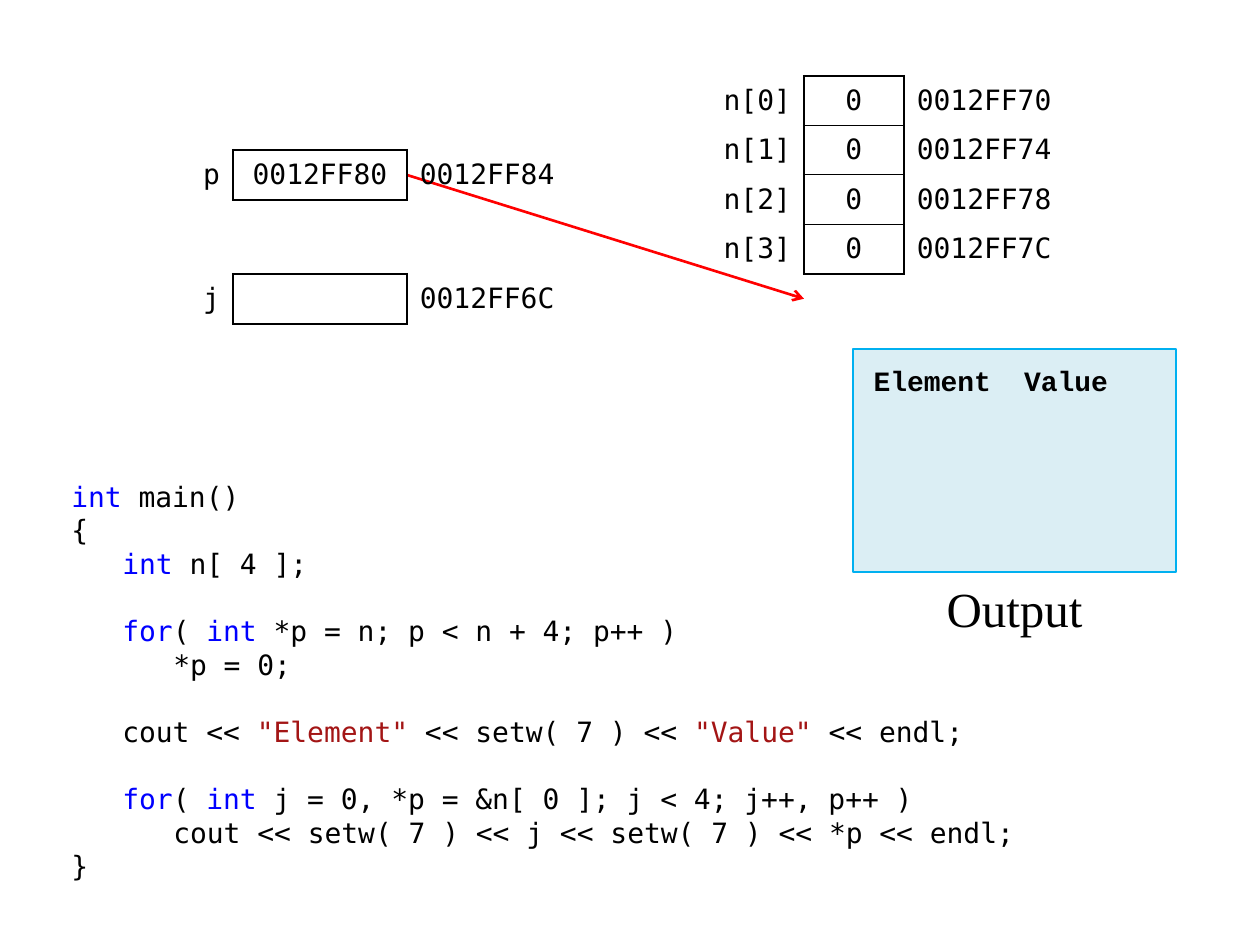
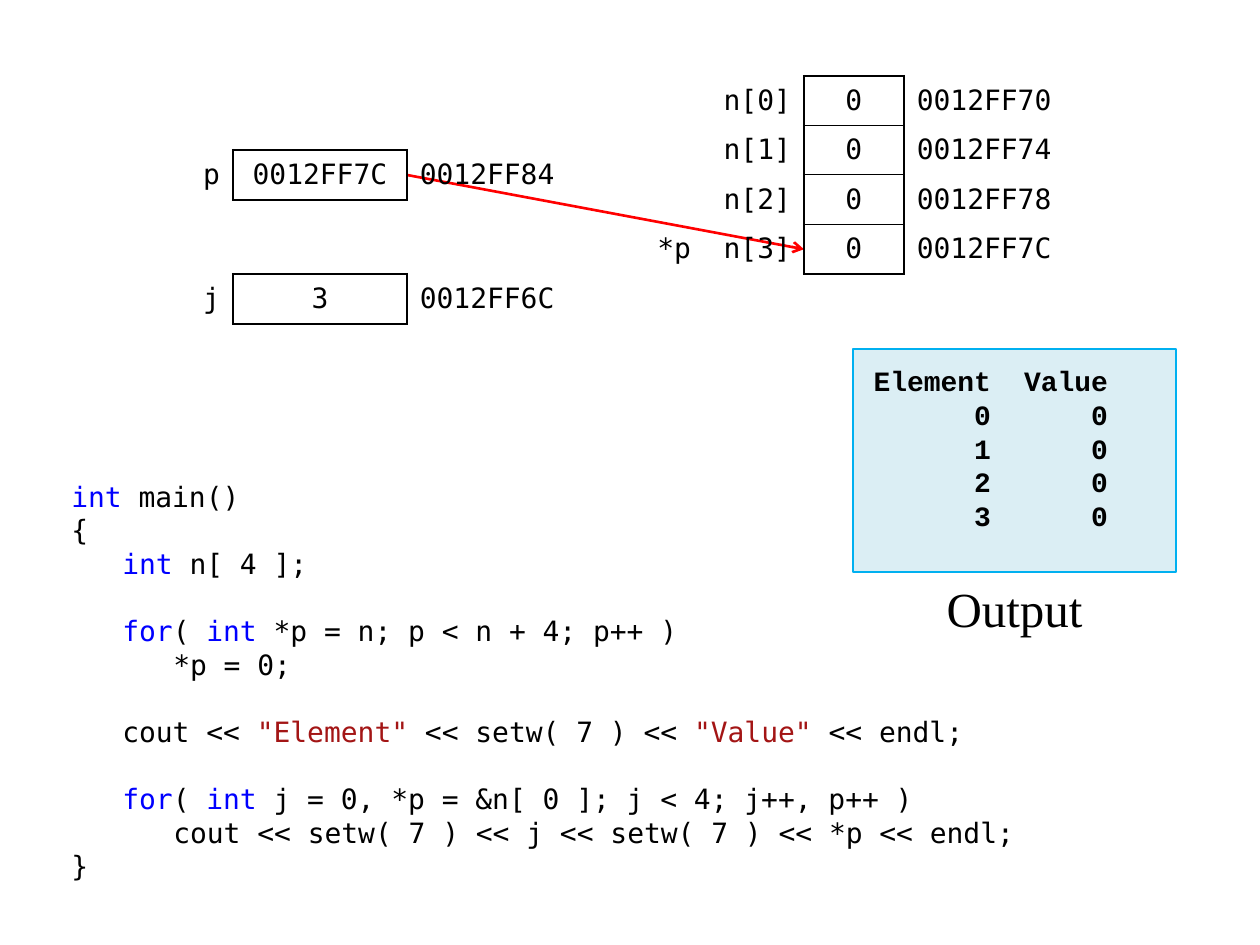
from lxml import etree
from pptx import Presentation
from pptx.dml.color import RGBColor
from pptx.enum.shapes import MSO_CONNECTOR, MSO_SHAPE
from pptx.enum.text import MSO_ANCHOR, PP_ALIGN
from pptx.oxml.ns import qn
from pptx.util import Emu, Inches, Pt

LEFT, CENTER, RIGHT = PP_ALIGN.LEFT, PP_ALIGN.CENTER, PP_ALIGN.RIGHT
TOP, MIDDLE = MSO_ANCHOR.TOP, MSO_ANCHOR.MIDDLE
RECTANGLE = MSO_SHAPE.RECTANGLE
STRAIGHT = MSO_CONNECTOR.STRAIGHT

BLACK = RGBColor(0x00, 0x00, 0x00)
KEYWORD = RGBColor(0x00, 0x00, 0xFF)
LITERAL = RGBColor(0xA3, 0x15, 0x15)
POINTER = RGBColor(0xFF, 0x00, 0x00)
CONSOLE_FILL = RGBColor(0xDB, 0xEE, 0xF4)
CONSOLE_EDGE = RGBColor(0x00, 0xB0, 0xF0)

CODE_FONT = "DejaVu Sans Mono"
CONSOLE_FONT = "Courier New"
LABEL_FONT = "Times New Roman"
CODE_SIZE = 16
LINE_PITCH = Pt(19.2)
INDENT = 51
CONSOLE_STOPS = (118, 235)
THICK, THIN = 1.5, 0.75
PLAIN_TABLE = "{2D5ABB26-0587-4C30-8999-92F81FD0307C}"

INT = ("int", KEYWORD)
FOR = ("for", KEYWORD)
CODE = [
    (0, False, [INT, (" main()", BLACK)]),
    (0, False, [("{", BLACK)]),
    (1, False, [INT, (" n[ 4 ];", BLACK)]),
    (1, True, [FOR, ("( ", BLACK), INT, (" *p = n; p < n + 4; p++ )", BLACK)]),
    (2, False, [("*p = 0;", BLACK)]),
    (1, True, [("cout << ", BLACK), ('"Element"', LITERAL),
               (" << setw( 7 ) << ", BLACK), ('"Value"', LITERAL),
               (" << endl;", BLACK)]),
    (1, True, [FOR, ("( ", BLACK), INT,
               (" j = 0, *p = &n[ 0 ]; j < 4; j++, p++ )", BLACK)]),
    (2, False, [("cout << setw( 7 ) << j << setw( 7 ) << *p << endl;", BLACK)]),
    (0, False, [("}", BLACK)]),
]

ADDRESSES = ["0012FF70", "0012FF74", "0012FF78", "0012FF7C"]
ARRAY_LEFT, ARRAY_TOP, ARRAY_HEIGHT = 630, 76, 198
ARRAY_COLUMNS = (74, 100, 100, 174)
VARIABLE_LEFT, VARIABLE_COLUMNS, VARIABLE_HEIGHT = 184, (49, 174, 174), 50
P_TOP, J_TOP = 150, 274


def px(length):
    return Emu(round(length * Inches(1) / 126))


def set_font(paragraph, name, size, bold=False):
    paragraph.font.name = name
    paragraph.font.size = Pt(size)
    paragraph.font.bold = bold
    paragraph.font.color.rgb = BLACK


def add_text_box(slide, left, top, width, height):
    frame = slide.shapes.add_textbox(
        px(left), px(top), px(width), px(height)).text_frame
    frame.word_wrap = True
    return frame


def nth_paragraph(frame, index):
    return frame.add_paragraph() if index else frame.paragraphs[0]


def add_console(slide, rows):
    console = slide.shapes.add_shape(
        RECTANGLE, px(853), px(349), px(323), px(223))
    console.shadow.inherit = False
    console.fill.solid()
    console.fill.fore_color.rgb = CONSOLE_FILL
    console.line.color.rgb = CONSOLE_EDGE
    console.line.width = Pt(THICK)
    frame = console.text_frame
    frame.vertical_anchor = TOP
    frame.margin_left, frame.margin_top = px(20), px(15)
    for index, row in enumerate([("Element", "Value")] + rows):
        paragraph = nth_paragraph(frame, index)
        paragraph.alignment = LEFT
        paragraph.line_spacing = LINE_PITCH
        stops = etree.SubElement(paragraph._p.get_or_add_pPr(), qn("a:tabLst"))
        for stop in CONSOLE_STOPS:
            etree.SubElement(stops, qn("a:tab"), pos=str(px(stop)), algn="r")
        set_font(paragraph, CONSOLE_FONT, CODE_SIZE, True)
        paragraph.add_run().text = "".join("\t" + entry for entry in row)


def add_code(slide):
    frame = add_text_box(slide, 59, 473, 968, 422)
    for index, (level, gap, pieces) in enumerate(CODE):
        paragraph = nth_paragraph(frame, index)
        paragraph.line_spacing = LINE_PITCH
        paragraph.space_before = LINE_PITCH if gap else Pt(0)
        paragraph._p.get_or_add_pPr().set("marL", str(px(level * INDENT)))
        set_font(paragraph, CODE_FONT, CODE_SIZE)
        for text, color in pieces:
            run = paragraph.add_run()
            run.text = text
            run.font.color.rgb = color


def add_console_label(slide):
    label = add_text_box(slide, 903, 572, 223, 74).paragraphs[0]
    label.text = "Output"
    label.alignment = CENTER
    set_font(label, LABEL_FONT, 28)


def add_pointer(slide, target):
    target_y = ARRAY_TOP + (target + 0.5) * ARRAY_HEIGHT / len(ADDRESSES)
    arrow = slide.shapes.add_connector(
        STRAIGHT, px(407), px(175), px(804), px(target_y))
    arrow.line.color.rgb = POINTER
    arrow.line.width = Pt(THICK)
    etree.SubElement(arrow.line._get_or_add_ln(), qn("a:tailEnd"), type="arrow")
    etree.SubElement(arrow._element.spPr, qn("a:effectLst"))


def set_borders(cell, widths):
    properties = cell._tc.get_or_add_tcPr()
    for side in "LRTB":
        if side in widths:
            edge = etree.SubElement(
                properties, qn("a:ln" + side), w=str(Pt(widths[side])))
            fill = etree.SubElement(edge, qn("a:solidFill"))
            etree.SubElement(fill, qn("a:srgbClr"), val=str(BLACK))


def add_memory(slide, left, top, columns, height, rows):
    table = slide.shapes.add_table(
        len(rows), len(columns), px(left), px(top),
        px(sum(columns)), px(height)).table
    table.first_row = table.horz_banding = False
    table._tbl.tblPr.find(qn("a:tableStyleId")).text = PLAIN_TABLE
    for column, width in zip(table.columns, columns):
        column.width = px(width)
    value_column = len(columns) - 2
    last = len(rows) - 1
    for r, row in enumerate(rows):
        table.rows[r].height = px(height / len(rows))
        for c, text in enumerate(row):
            cell = table.cell(r, c)
            if c == value_column:
                set_borders(cell, {"L": THICK, "R": THICK,
                                   "T": THIN if r else THICK,
                                   "B": THIN if r < last else THICK})
            elif c == value_column - 1:
                set_borders(cell, {"R": THICK})
            elif c > value_column:
                set_borders(cell, {"L": THICK})
            cell.fill.background()
            cell.vertical_anchor = MIDDLE
            cell.margin_left = cell.margin_right = px(13)
            cell.margin_top = cell.margin_bottom = px(5)
            cell.text = text
            entry = cell.text_frame.paragraphs[0]
            entry.alignment = (RIGHT if c < value_column else
                               CENTER if c == value_column else LEFT)
            set_font(entry, CODE_FONT, CODE_SIZE)


def add_variable(slide, top, name, value, address):
    add_memory(slide, VARIABLE_LEFT, top, VARIABLE_COLUMNS, VARIABLE_HEIGHT,
               [(name, value, address)])


def add_step(deck, p_value, j_value, target, printed):
    slide = deck.slides.add_slide(deck.slide_layouts[6])
    add_console(slide, [(str(i), "0") for i in range(printed)])
    add_code(slide)
    add_console_label(slide)
    add_pointer(slide, target)
    array = [("*p" if i == target else "", f"n[{i}]", "0", address)
             for i, address in enumerate(ADDRESSES)]
    add_memory(slide, ARRAY_LEFT, ARRAY_TOP, ARRAY_COLUMNS, ARRAY_HEIGHT, array)
    add_variable(slide, P_TOP, "p", p_value, "0012FF84")
    add_variable(slide, J_TOP, "j", j_value, "0012FF6C")


def main():
    deck = Presentation()
    deck.slide_width, deck.slide_height = Inches(10), Inches(7.5)
    add_step(deck, "0012FF80", "", target=4, printed=0)
    add_step(deck, "0012FF7C", "3", target=3, printed=4)
    deck.save("out.pptx")


main()
